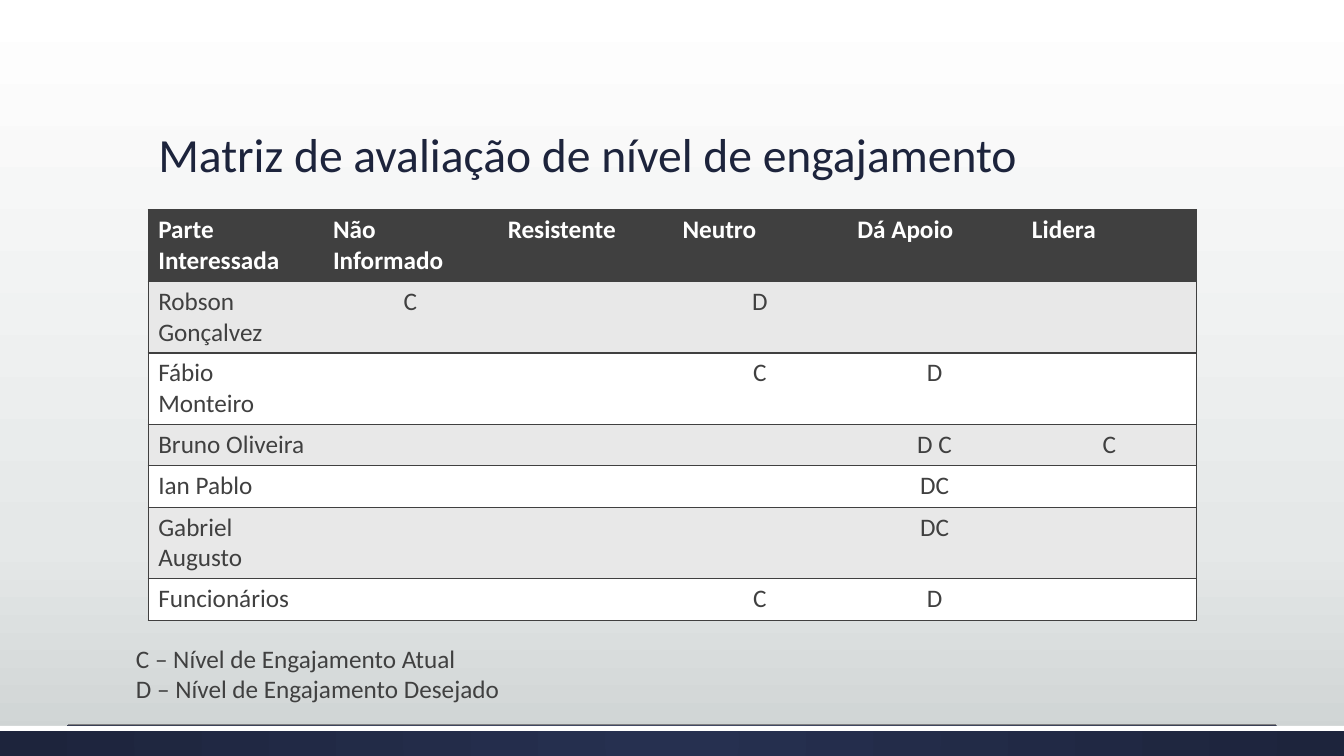
"""Builds the stakeholder engagement matrix slide."""
from lxml import etree
from pptx import Presentation
from pptx.dml.color import RGBColor
from pptx.enum.shapes import MSO_CONNECTOR, MSO_SHAPE
from pptx.enum.text import MSO_ANCHOR, MSO_AUTO_SIZE, PP_ALIGN
from pptx.oxml import parse_xml
from pptx.oxml.ns import nsdecls, qn
from pptx.util import Inches, Pt

COLORS = {"navy": "1D243C", "indigo": "263050", "dark": "404040", "band": "E8E8E8",
          "white": "FFFFFF", "mist": "E5E8E8", "silver": "CDD2D2", "rule": "7F7F7F"}
FONT = "Calibri"
PLAIN_STYLE = "{2D5ABB26-0587-4C30-8999-92F81FD0307C}"
LEVELS = ["Não Informado", "Resistente", "Neutro", "Dá Apoio", "Lidera"]
STAKEHOLDERS = {
    "Robson Gonçalvez": {"Não Informado": "C", "Neutro": "D"},
    "Fábio Monteiro": {"Neutro": "C", "Dá Apoio": "D"},
    "Bruno Oliveira": {"Dá Apoio": "D C", "Lidera": "C"},
    "Ian Pablo": {"Dá Apoio": "DC"},
    "Gabriel Augusto": {"Dá Apoio": "DC"},
    "Funcionários": {"Neutro": "C", "Dá Apoio": "D"},
}
LEGEND = ["C – Nível de Engajamento Atual", "D – Nível de Engajamento Desejado"]


def rgb(name):
    """Return the named colour."""
    return RGBColor.from_string(COLORS[name])


def write(paragraph, text, size, color, bold=False):
    """Put one formatted run in a paragraph."""
    run = paragraph.add_run()
    run.text = text
    run.font.name, run.font.size, run.font.bold = FONT, Pt(size), bold
    run.font.color.rgb = rgb(color)


def set_gradient(parent, stops, direction):
    """Replace the solid fill under parent with a gradient."""
    marks = "".join(f'<a:gs pos="{pos * 1000}"><a:srgbClr val="{COLORS[name]}"/></a:gs>'
                    for pos, name in stops)
    solid = parent.find(qn("a:solidFill"))
    parent.replace(solid, parse_xml(
        f'<a:gradFill {nsdecls("a")} rotWithShape="1"><a:gsLst>{marks}</a:gsLst>'
        f'{direction}</a:gradFill>'))


def add_background(slide):
    """Shade the slide from white at the top to silver at the bottom."""
    slide.background.fill.solid()
    set_gradient(slide.element.find(".//" + qn("p:bgPr")),
                 [(0, "white"), (72, "mist"), (100, "silver")],
                 '<a:lin ang="5400000" scaled="0"/>')


def add_bar(slide, left, top, width, height):
    """Draw a plain white bar without outline."""
    bar = slide.shapes.add_shape(MSO_SHAPE.RECTANGLE, Inches(left), Inches(top),
                                 Inches(width), Inches(height))
    bar.shadow.inherit = False
    bar.fill.solid()
    bar.fill.fore_color.rgb = rgb("white")
    bar.line.fill.background()
    return bar


def add_footer(slide, left, top, width, height):
    """Draw the navy band, its white edge and the thin rule above."""
    band = add_bar(slide, left, top, width, height)
    set_gradient(band.element.spPr, [(0, "indigo"), (100, "navy")],
                 '<a:path path="circle"><a:fillToRect l="50000" t="50000" '
                 'r="50000" b="50000"/></a:path>')
    add_bar(slide, left, top, width, 0.05)
    margin, rule_top = 0.67, Inches(top - 0.01)
    rule = slide.shapes.add_connector(MSO_CONNECTOR.STRAIGHT, Inches(left + margin), rule_top,
                                      Inches(left + width - margin), rule_top)
    rule.line.color.rgb, rule.line.width = rgb("rule"), Pt(0.5)
    etree.SubElement(rule.element.spPr, qn("a:effectLst"))


def add_title(slide, left, top, width, height):
    """Place and format the title placeholder."""
    title = slide.shapes.title
    title.left, title.top = Inches(left), Inches(top)
    title.width, title.height = Inches(width), Inches(height)
    frame = title.text_frame
    frame.word_wrap, frame.vertical_anchor = True, MSO_ANCHOR.BOTTOM
    paragraph = frame.paragraphs[0]
    paragraph.alignment, paragraph.line_spacing = PP_ALIGN.LEFT, 0.9
    write(paragraph, "Matriz de avaliação de nível de engajamento", 34, "navy")


def set_borders(cell, sides):
    """Draw one-point dark lines on the given cell sides."""
    for index, side in enumerate(sides):
        cell._tc.get_or_add_tcPr().insert(index, parse_xml(
            f'<a:ln{side} {nsdecls("a")} w="12700"><a:solidFill>'
            f'<a:srgbClr val="{COLORS["dark"]}"/></a:solidFill></a:ln{side}>'))


def add_matrix(slide, left, top, width, height):
    """Build the table of stakeholders by engagement level."""
    rows = [["Parte Interessada", *LEVELS]]
    rows += [[name, *(marks.get(level, "") for level in LEVELS)]
             for name, marks in STAKEHOLDERS.items()]
    last = len(LEVELS)
    frame = slide.shapes.add_table(len(rows), last + 1, Inches(left), Inches(top),
                                   Inches(width), Inches(height))
    table = frame.table
    table._tbl.tblPr.find(qn("a:tableStyleId")).text = PLAIN_STYLE
    for r, texts in enumerate(rows):
        table.rows[r].height = Inches(0.41)
        header = r == 0
        fill = "dark" if header else "band" if r % 2 else "white"
        for c, text in enumerate(texts):
            cell = table.cell(r, c)
            cell.fill.solid()
            cell.fill.fore_color.rgb = rgb(fill)
            set_borders(cell, "L" * (c == 0) + "R" * (c == last) + "TB")
            if text:
                paragraph = cell.text_frame.paragraphs[0]
                centred = not header and c > 0
                paragraph.alignment = PP_ALIGN.CENTER if centred else PP_ALIGN.LEFT
                write(paragraph, text, 18, "white" if header else "dark", header)
    frame.height = Inches(height)


def add_legend(slide, left, top, width, height):
    """Explain the letters used in the matrix."""
    box = slide.shapes.add_textbox(Inches(left), Inches(top), Inches(width), Inches(height))
    frame = box.text_frame
    frame.word_wrap, frame.auto_size = False, MSO_AUTO_SIZE.SHAPE_TO_FIT_TEXT
    for index, text in enumerate(LEGEND):
        paragraph = frame.add_paragraph() if index else frame.paragraphs[0]
        write(paragraph, text, 18, "dark")


def main():
    """Assemble the slide and save it."""
    deck = Presentation()
    deck.slide_width, deck.slide_height = Inches(13.33), Inches(7.5)
    slide = deck.slides.add_slide(deck.slide_layouts[5])
    add_background(slide)
    add_footer(slide, 0, 7.2, 13.33, 0.3)
    add_title(slide, 1.47, 0.51, 10.4, 1.35)
    add_matrix(slide, 1.47, 2.08, 10.4, 4.02)
    add_legend(slide, 1.25, 6.33, 3.93, 0.71)
    deck.save("out.pptx")


main()
